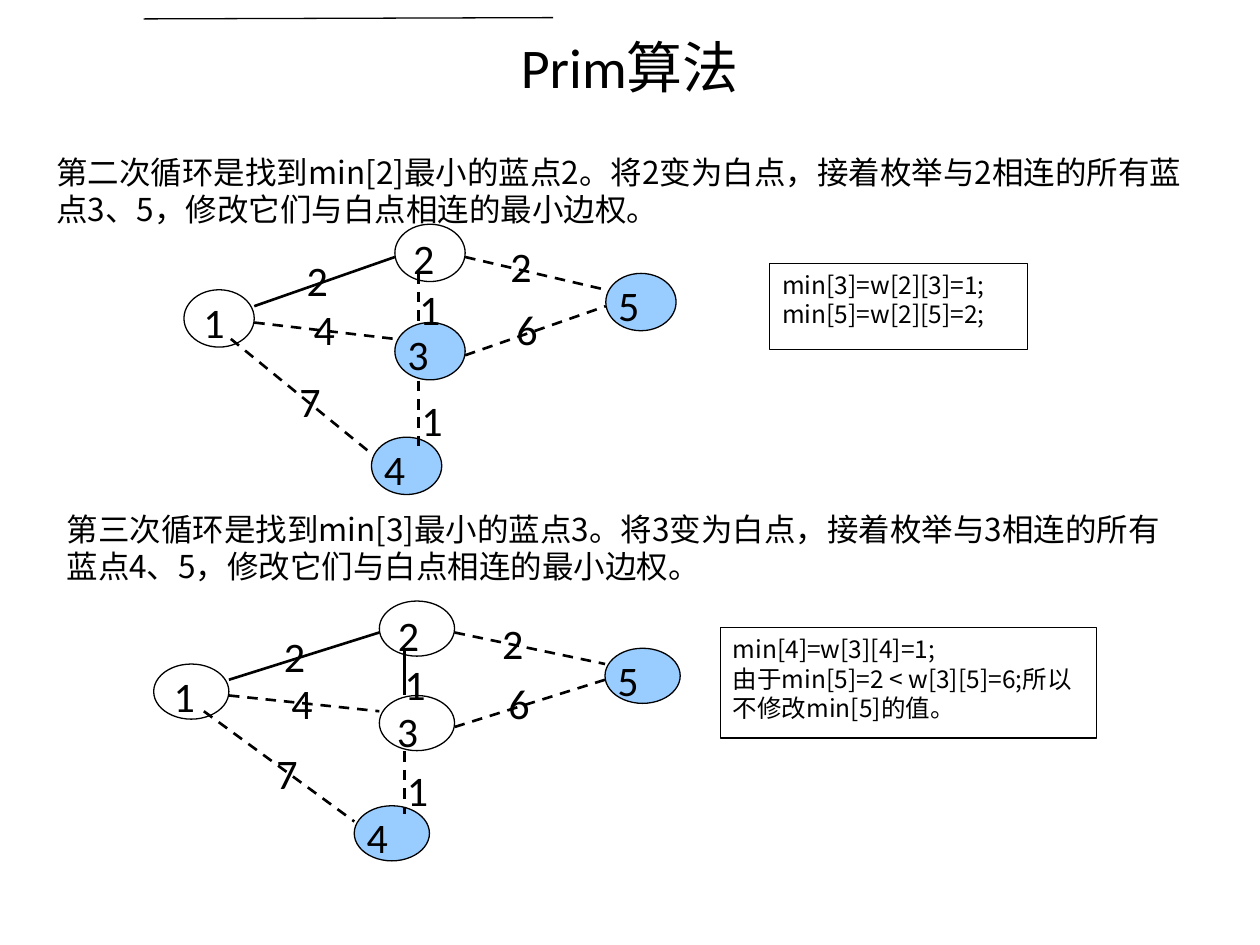
from lxml import etree
from pptx import Presentation, util as u
from pptx.dml.color import RGBColor
from pptx.enum import dml, shapes, text
from pptx.oxml import ns

BLACK = RGBColor(0, 0, 0)
WHITE = RGBColor(255, 255, 255)
BLUE = RGBColor(0x99, 0xCC, 0xFF)
LATIN, CHINESE = "Calibri", "Noto Sans CJK SC"

# Graph geometry in columns and rows, shared by both steps of the algorithm.
NODE_SIZE = (3, 3.5)
NODES = {1: (0, 4), 2: (9, 0), 4: (8, 13), 3: (9, 6), 5: (18, 3)}
NODE_LABELS = {1: (0.3, 4, 2, 3), 2: (9.25, 0.15, 3, 3), 3: (9, 6, 3, 4),
               4: (8, 13, 3, 4), 5: (18, 3, 3, 4)}
EDGES = {(1, 2): (3, 5, 9, 2), (1, 4): (2, 7, 8, 14), (1, 3): (3, 6, 9, 7),
         (2, 3): (10, 3, 10, 6), (3, 4): (10, 9.55, 10, 13.55),
         (3, 5): (12, 8, 18, 5), (2, 5): (12, 2, 18, 4)}
WEIGHTS = [(2, (4.7, 1.45, 2, 3)), (4, (5, 4.45, 2, 3)), (7, (4.4, 8.88, 3, 3)),
           (1, (9.5, 3.25, 2, 3)), (1, (9.6, 10, 4, 4)),
           (6, (13.65, 4.45, 2, 3)), (2, (13.4, 0.62, 2, 3))]


class Board:
    """Draws on one slide, measuring in cells of the current grid."""

    def __init__(self, slide):
        self.slide = slide
        self.page_grid()

    def page_grid(self):
        self.shapes = self.slide.shapes
        self.origin, self.cell = (0, 0), (0.1, 0.1)

    def group_grid(self, origin, cell):
        self.shapes = self.slide.shapes.add_group_shape().shapes
        self.origin, self.cell = origin, cell

    def point(self, column, row):
        return (u.Inches(self.origin[0] + column * self.cell[0]),
                u.Inches(self.origin[1] + row * self.cell[1]))

    def frame(self, column, row, columns, rows):
        return (*self.point(column, row),
                u.Inches(columns * self.cell[0]), u.Inches(rows * self.cell[1]))

    def fill_text(self, shape, lines, size, font, spacing=None, align=text.PP_ALIGN.LEFT):
        text_frame = shape.text_frame
        text_frame.word_wrap = True
        text_frame.vertical_anchor = text.MSO_ANCHOR.TOP
        text_frame.text = "\n".join(lines)
        for paragraph in text_frame.paragraphs:
            paragraph.alignment = align
            if spacing:
                paragraph.line_spacing = u.Pt(spacing)
            for run in paragraph.runs:
                run.font.size = u.Pt(size)
                run.font.name = font
                run.font.color.rgb = BLACK
                east_asian = etree.SubElement(run.font._element, ns.qn("a:ea"))
                east_asian.set("typeface", CHINESE)

    def text(self, frame, content, size, font=LATIN, **style):
        box = self.shapes.add_textbox(*self.frame(*frame))
        self.fill_text(box, [content], size, font, **style)

    def outline(self, kind, frame, fill):
        shape = self.shapes.add_shape(kind, *self.frame(*frame))
        shape.shadow.inherit = False
        if fill is None:
            shape.fill.background()
        else:
            shape.fill.solid()
            shape.fill.fore_color.rgb = fill
        shape.line.color.rgb = BLACK
        shape.line.width = u.Pt(0.75)
        return shape

    def line(self, ends, width, dashed=False):
        connector = self.shapes.add_connector(
            shapes.MSO_CONNECTOR.STRAIGHT, *self.point(*ends[:2]), *self.point(*ends[2:]))
        connector.line.color.rgb = BLACK
        connector.line.width = u.Pt(width)
        if dashed:
            connector.line.dash_style = dml.MSO_LINE.DASH
        etree.SubElement(connector._element.spPr, ns.qn("a:effectLst"))

    def graph(self, blue_nodes, tree_edges, moved_labels):
        for node, position in NODES.items():
            self.outline(shapes.MSO_SHAPE.OVAL, position + NODE_SIZE,
                         BLUE if node in blue_nodes else None)
        for edge, ends in EDGES.items():
            self.line(ends, 1.5, dashed=edge not in tree_edges)
        labels = NODE_LABELS | moved_labels
        for number, frame in [*labels.items(), *WEIGHTS]:
            self.text(frame, str(number), 24)

    def note(self, frame, lines):
        box = self.outline(shapes.MSO_SHAPE.RECTANGLE, frame, WHITE)
        self.fill_text(box, lines, 14, CHINESE, spacing=16.9)


def main():
    presentation = Presentation()
    presentation.slide_width, presentation.slide_height = u.Inches(10), u.Inches(7.5)
    board = Board(presentation.slides.add_slide(presentation.slide_layouts[6]))

    board.text((5, 2.1, 90, 6.4), "Prim算法", 32, align=text.PP_ALIGN.CENTER)
    board.line((11.4, 1.5, 43.9, 1.4), 0.75)
    explanations = [
        ((3.5, 11.7, 93, 6.7), "第二次循环是找到min[2]最小的蓝点2。将2变为白点，"
         "接着枚举与2相连的所有蓝点3、5，修改它们与白点相连的最小边权。"),
        ((4.3, 40.1, 90.7, 6.7), "第三次循环是找到min[3]最小的蓝点3。将3变为白点，"
         "接着枚举与3相连的所有蓝点4、5，修改它们与白点相连的最小边权。"),
    ]
    for frame, explanation in explanations:
        board.text(frame, explanation, 18, CHINESE, spacing=21.1)

    board.group_grid((1.46, 1.78), (0.186, 0.13))
    board.graph({3, 4, 5}, {(1, 2)}, {})
    board.note((25, 2.4, 11, 5.25), ["min[3]=w[2][3]=1;", "min[5]=w[2][5]=2;"])

    board.group_grid((1.22, 4.77), (0.199, 0.125))
    board.graph({4, 5}, {(1, 2), (2, 3)}, {3: (9.2, 6.24, 2.4, 2.4)})
    board.note((22.6, 1.7, 15, 7),
               ["min[4]=w[3][4]=1;", "由于min[5]=2 < w[3][5]=6;所以不修改min[5]的值。"])

    presentation.save("out.pptx")


if __name__ == "__main__":
    main()
